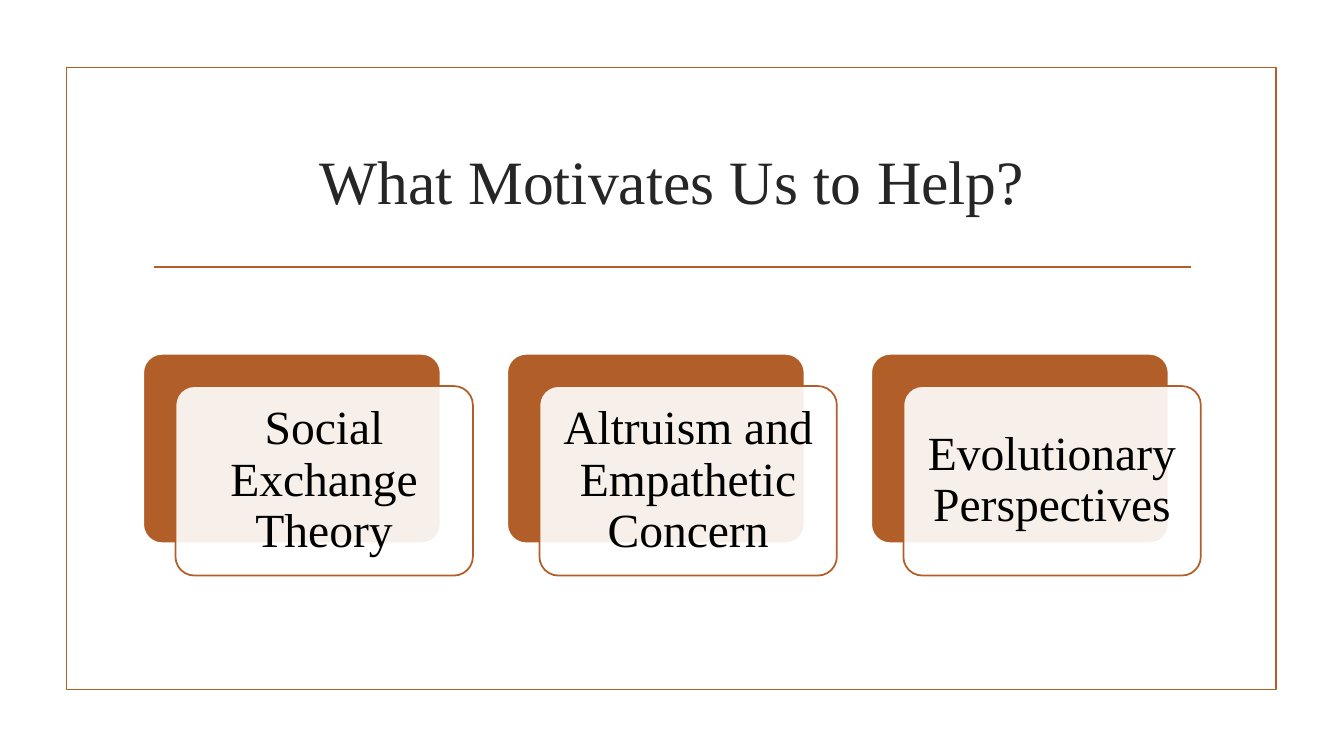
"""Build the slide on what motivates us to help."""
import pptx
import pptx.dml.color
import pptx.enum.shapes
import pptx.enum.text
import pptx.oxml.ns
import pptx.util
from lxml import etree

Inches = pptx.util.Inches
Pt = pptx.util.Pt
RGBColor = pptx.dml.color.RGBColor
Shape = pptx.enum.shapes.MSO_SHAPE

RUST = RGBColor(0xB1, 0x5E, 0x28)
WHITE = RGBColor(0xFF, 0xFF, 0xFF)
BLACK = RGBColor(0, 0, 0)
CHARCOAL = RGBColor(0x26, 0x26, 0x26)
FONT = "Times New Roman"
LINE_WIDTH = Pt(1.25)
MOTIVES = ["Social Exchange Theory", "Altruism and Empathetic Concern", "Evolutionary Perspectives"]


def add_box(page, kind, left, top, width, height, fill, line):
    """Add an outlined preset shape, unfilled when fill is None."""
    box = page.shapes.add_shape(kind, Inches(left), Inches(top), Inches(width), Inches(height))
    box.shadow.inherit = False
    if fill is None:
        box.fill.background()
    else:
        box.fill.solid()
        box.fill.fore_color.rgb = fill
    box.line.color.rgb = line
    box.line.width = LINE_WIDTH
    return box


def add_rule(page, left, right, top):
    """Add the horizontal line below the title."""
    rule = page.shapes.add_connector(
        pptx.enum.shapes.MSO_CONNECTOR.STRAIGHT, Inches(left), Inches(top), Inches(right), Inches(top))
    rule.line.color.rgb = RUST
    rule.line.width = LINE_WIDTH
    etree.SubElement(rule._element.spPr, pptx.oxml.ns.qn("a:effectLst"))


def write_centred(box, text, size, color):
    """Write one centred paragraph in the middle of a box."""
    frame = box.text_frame
    frame.word_wrap = True
    frame.auto_size = pptx.enum.text.MSO_AUTO_SIZE.NONE
    frame.vertical_anchor = pptx.enum.text.MSO_ANCHOR.MIDDLE
    para = frame.paragraphs[0]
    para.alignment = pptx.enum.text.PP_ALIGN.CENTER
    span = para.add_run()
    span.text = text
    span.font.name = FONT
    span.font.size = Pt(size)
    span.font.color.rgb = color
    return frame


def set_opacity(box, percent):
    """Make the solid fill of a box partly transparent."""
    color = box._element.spPr.find(pptx.oxml.ns.qn("a:solidFill"))[0]
    etree.SubElement(color, pptx.oxml.ns.qn("a:alpha"), val=str(percent * 1000))


def add_title(page, text):
    """Place and fill the title placeholder."""
    title = page.shapes.title
    title.left, title.top = Inches(1.42), Inches(1.07)
    title.width, title.height = Inches(10.5), Inches(1.43)
    write_centred(title, text, 44, CHARCOAL)


def add_motive(page, left, text):
    """Add a rust plate with a translucent text card offset over it."""
    top, width, height, offset = 3.51, 2.95, 1.88, 0.32
    plate = add_box(page, Shape.ROUNDED_RECTANGLE, left, top, width, height, RUST, WHITE)
    card = add_box(page, Shape.ROUNDED_RECTANGLE, left + offset, top + offset, width, height, WHITE, RUST)
    for box in (plate, card):
        box.adjustments[0] = 0.1
    set_opacity(card, 90)
    frame = write_centred(card, text, 34, BLACK)
    frame.margin_left = frame.margin_right = Inches(0.14)
    frame.margin_top = frame.margin_bottom = Inches(0.14)
    frame.paragraphs[0].line_spacing = 0.9


def main():
    """Build and save the deck."""
    deck = pptx.Presentation()
    deck.slide_width, deck.slide_height = Inches(13.33), Inches(7.5)
    page = deck.slides.add_slide(deck.slide_layouts[5])
    add_box(page, Shape.RECTANGLE, 0.66, 0.67, 12, 6.17, None, RUST)
    add_rule(page, 1.53, 11.81, 2.65)
    add_title(page, "What Motivates Us to Help?")
    for index, motive in enumerate(MOTIVES):
        add_motive(page, 1.42 + 3.61 * index, motive)
    deck.save("out.pptx")


if __name__ == "__main__":
    main()
